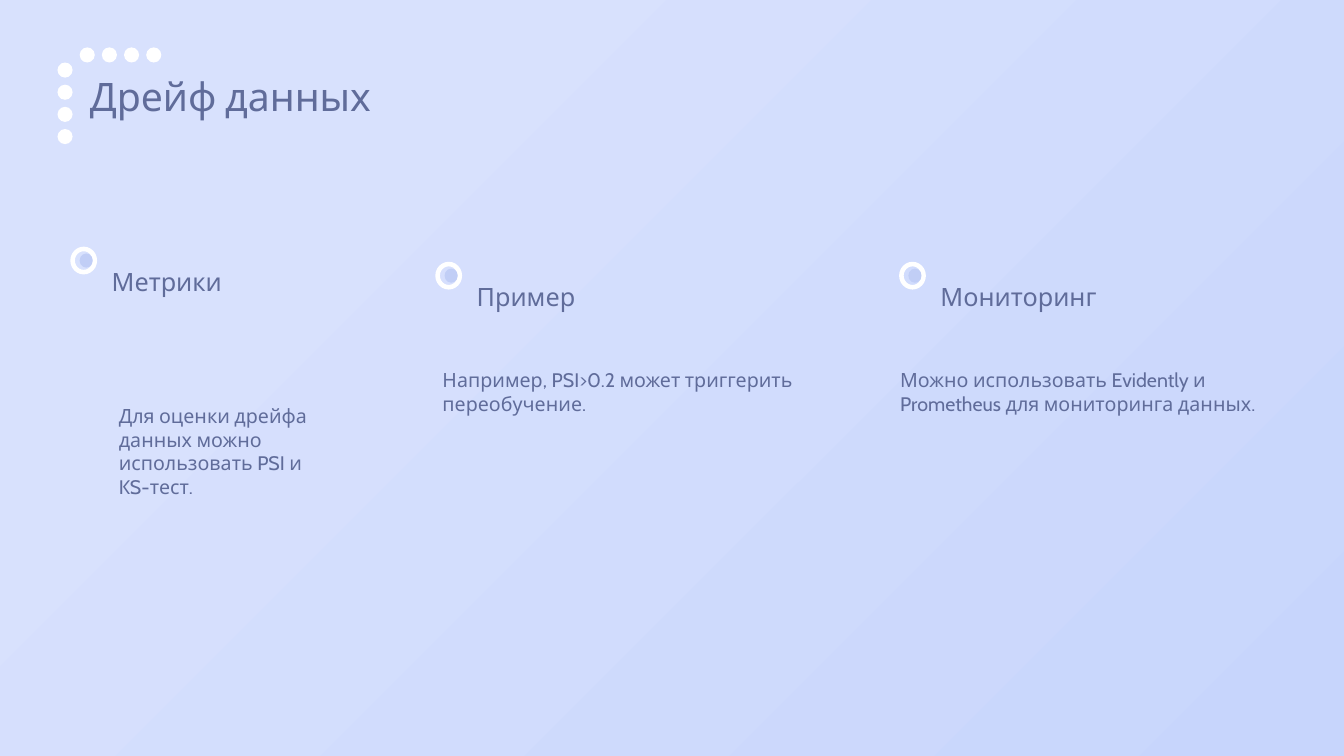
from lxml.etree import fromstring
from pptx import Presentation
from pptx.dml.color import RGBColor
from pptx.enum.shapes import MSO_SHAPE
from pptx.enum.text import MSO_ANCHOR, MSO_AUTO_SIZE, PP_ALIGN
from pptx.util import Inches, Pt

THEME = {
    "font": "Cabin",
    "text": RGBColor.from_string("606C9A"),
    "white": RGBColor.from_string("FFFFFF"),
    "accent": RGBColor.from_string("C1CEF6"),
    "gradient": [(0, "D8E1FD"), (22, "D8E1FD"), (100, "C7D5FC"), (100, "FFF2C6")],
    "title": Pt(28),
    "heading": Pt(18),
    "body": Pt(14),
    "ring": Pt(3.25),
}


def add_oval(x, y, w, h, fill=None):
    """Filled oval, or a white ring when no fill is given."""
    sp = slide.shapes.add_shape(MSO_SHAPE.OVAL, Inches(x), Inches(y), Inches(w), Inches(h))
    sp.shadow.inherit = False
    if fill is None:
        sp.fill.background()
        sp.line.color.rgb = THEME["white"]
        sp.line.width = THEME["ring"]
    else:
        sp.fill.solid()
        sp.fill.fore_color.rgb = fill
        sp.line.fill.background()


def set_text(sp, box, text, size, align, anchor, auto_size):
    sp.left, sp.top, sp.width, sp.height = [Inches(v) for v in box]
    tf = sp.text_frame
    tf.word_wrap = True
    tf.auto_size = auto_size
    tf.vertical_anchor = anchor
    p = tf.paragraphs[0]
    p.text = text
    p.alignment = align
    p.font.name = THEME["font"]
    p.font.size = size
    p.font.color.rgb = THEME["text"]


prs = Presentation()
prs.slide_width, prs.slide_height = Inches(13.33), Inches(7.5)
slide = prs.slides.add_slide(prs.slide_layouts[5])

# Diagonal background gradient
fill = slide.background.fill
fill.gradient()
stops = "".join(
    f'<a:gs pos="{pos * 1000}"><a:srgbClr val="{color}"/></a:gs>'
    for pos, color in THEME["gradient"]
)
grad = fromstring(
    '<a:gradFill xmlns:a="http://schemas.openxmlformats.org/drawingml/2006/main" '
    f'rotWithShape="1"><a:gsLst>{stops}</a:gsLst><a:lin ang="2700000" scaled="0"/></a:gradFill>'
)
bg_pr = slide.background._cSld.bg.bgPr
bg_pr.replace(bg_pr[0], grad)

# Corner of dots around the title
for i in range(4):
    add_oval(0.79 + 0.22 * i, 0.47, 0.15, 0.15, THEME["white"])
    add_oval(0.57, 0.62 + 0.22 * i, 0.15, 0.15, THEME["white"])

# Title
set_text(slide.shapes.title, (0.79, 0.67, 11.68, 1.66), "Дрейф данных",
         THEME["title"], PP_ALIGN.JUSTIFY, MSO_ANCHOR.TOP, MSO_AUTO_SIZE.NONE)

# Columns: marker position, heading and its box, body and its box
columns = [
    (0.72, 2.47, "Метрики", (1.01, 2.27, 2.24, 1.04),
     "Для оценки дрейфа данных можно использовать PSI и KS-тест.",
     (1.08, 3.13, 2.17, 2.69)),
    (4.34, 2.62, "Пример", (4.63, 2.57, 3.73, 0.74),
     "Например, PSI>0.2 может триггерить переобучение.",
     (4.29, 3.13, 4.07, 1.51)),
    (8.94, 2.62, "Мониторинг", (9.23, 2.57, 3.73, 0.74),
     "Можно использовать Evidently и Prometheus для мониторинга данных.",
     (8.83, 3.13, 4.07, 1.51)),
]
for x, y, heading, heading_box, body, body_box in columns:
    add_oval(x, y, 0.22, 0.23)
    add_oval(x + 0.07, y + 0.045, 0.13, 0.14, THEME["accent"])
    for text, box, size, align in (
        (heading, heading_box, THEME["heading"], PP_ALIGN.JUSTIFY),
        (body, body_box, THEME["body"], PP_ALIGN.LEFT),
    ):
        sp = slide.shapes.add_textbox(0, 0, 0, 0)
        set_text(sp, box, text, size, align, MSO_ANCHOR.MIDDLE,
                 MSO_AUTO_SIZE.SHAPE_TO_FIT_TEXT)

prs.save("out.pptx")
